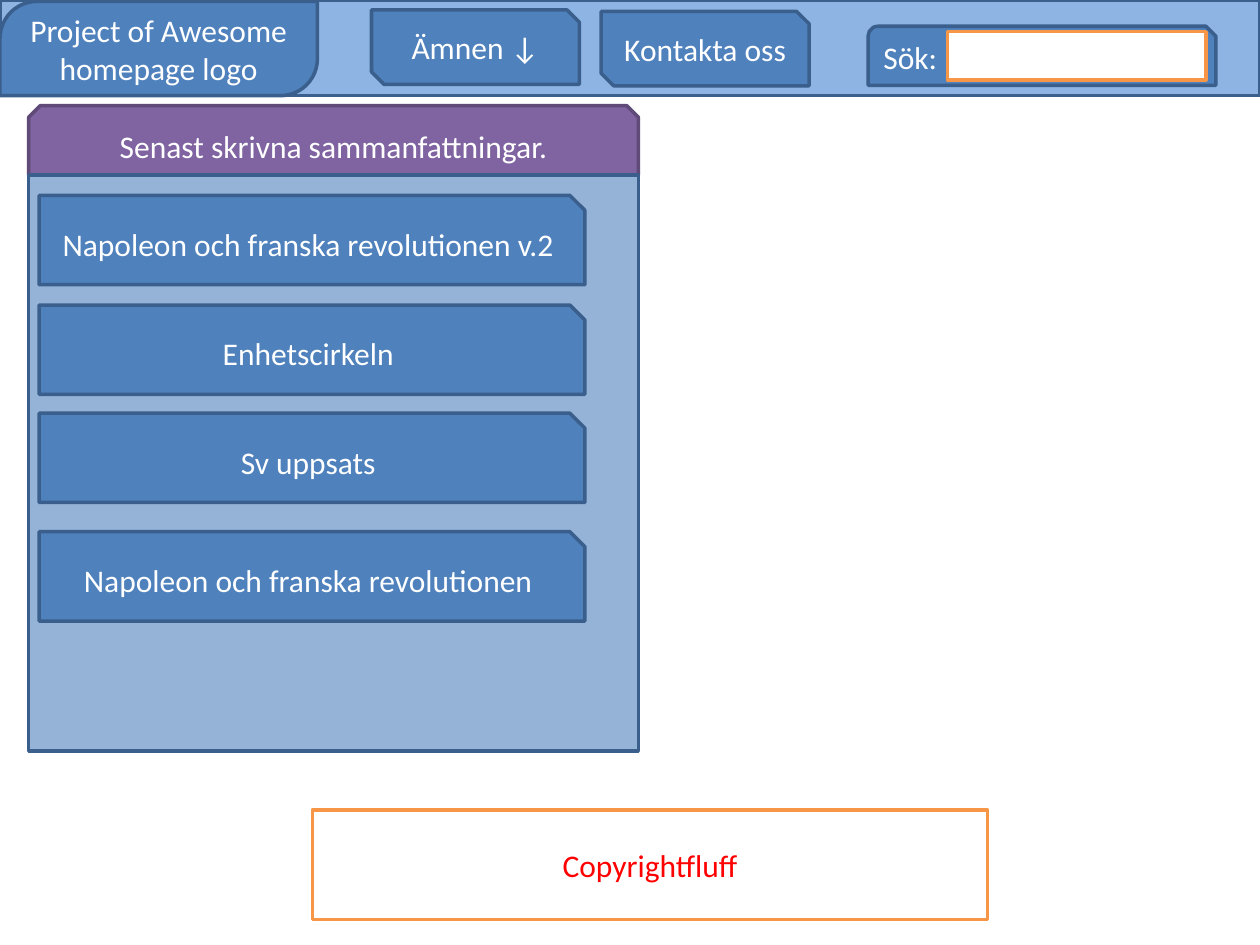
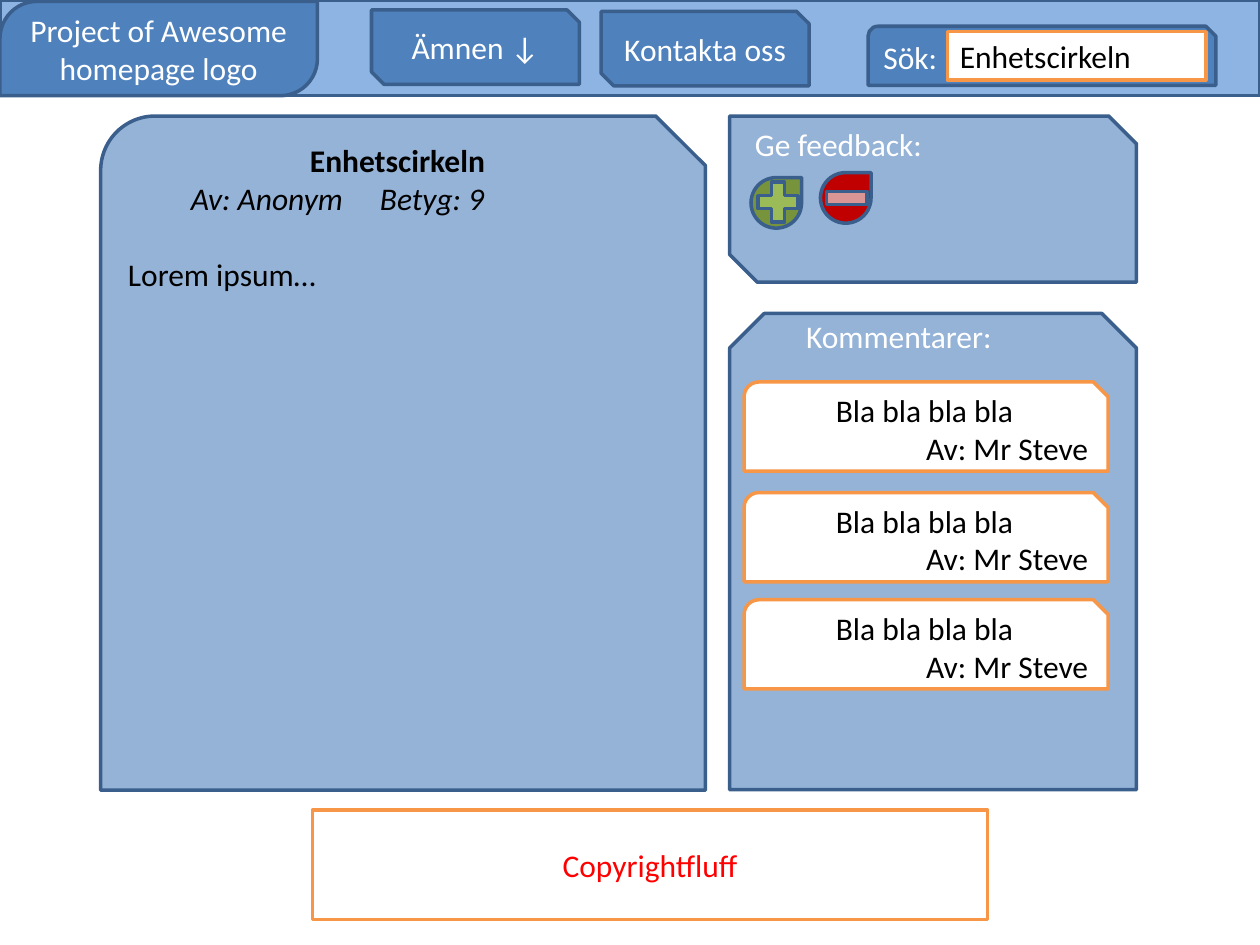
from dataclasses import dataclass

from lxml import etree
from pptx import Presentation
from pptx.dml.color import RGBColor
from pptx.enum import shapes, text
from pptx.oxml.ns import qn
from pptx.util import Cm, Pt


@dataclass(frozen=True)
class Theme:
    font: str = "Calibri"
    size: int = 18
    edge: float = 2
    band: str = "8EB4E3"
    blue: str = "4F81BD"
    navy: str = "3A5F8C"
    panel: str = "95B3D7"
    violet: str = "8064A2"
    plum: str = "5F4A78"
    orange: str = "F79646"
    olive: str = "77933C"
    lime: str = "9BBB59"
    wine: str = "C00000"
    rose: str = "D99694"
    red: str = "FF0000"
    white: str = "FFFFFF"
    black: str = "000000"


T = Theme()
G = shapes.MSO_SHAPE
LEFT, MID, RIGHT = text.PP_ALIGN.LEFT, text.PP_ALIGN.CENTER, text.PP_ALIGN.RIGHT
MIDDLE, TOP = text.MSO_ANCHOR.MIDDLE, text.MSO_ANCHOR.TOP


def put(frame, words, color=T.white, aligns=(MID,), bold=False, anchor=MIDDLE, inset=None):
    """Fill a frame, one paragraph a line; aligns holds one alignment for each line."""
    frame.word_wrap = True
    frame.auto_size = text.MSO_AUTO_SIZE.NONE
    frame.vertical_anchor = anchor
    if inset is not None:
        frame.margin_left = frame.margin_right = Cm(inset)
        frame.margin_top = frame.margin_bottom = Cm(inset)
    for i, (line, align) in enumerate(zip(words.split("\n"), aligns)):
        para = frame.add_paragraph() if i else frame.paragraphs[0]
        para.alignment = align
        run = para.add_run()
        run.text = line
        run.font.name, run.font.size, run.font.bold = T.font, Pt(T.size), bold
        run.font.color.rgb = RGBColor.from_string(color)


def box(kind, area, fill=T.blue, edge=T.navy, words="", adj=(), **look):
    """Add a preset shape; area is left, top, width and height in cm."""
    shape = slide.shapes.add_shape(kind, *map(Cm, area))
    shape.shadow.inherit = False
    shape.fill.solid()
    shape.fill.fore_color.rgb = RGBColor.from_string(fill)
    shape.line.color.rgb = RGBColor.from_string(edge)
    shape.line.width = Pt(T.edge)
    for i, value in enumerate(adj):
        shape.adjustments[i] = value
    if words:
        put(shape.text_frame, words, **look)


deck = Presentation()
deck.slide_width, deck.slide_height = Cm(25.4), Cm(19.05)
home = deck.slides.add_slide(deck.slide_layouts[5])
page = deck.slides.add_slide(deck.slide_layouts[1])

# Shared header and footer
for slide, query in ((home, ""), (page, "Enhetscirkeln")):
    box(G.RECTANGLE, (0, 0, 25.4, 1.93), T.band)
    box(G.ROUND_2_DIAG_RECTANGLE, (0, 0.03, 6.4, 1.9), adj=(0.392, 0),
        words="Project of Awesome homepage logo")
    for left, top, label in ((7.49, 0.2, "Ämnen ↓"), (12.12, 0.23, "Kontakta oss")):
        box(G.SNIP_2_DIAG_RECTANGLE, (left, top, 4.19, 1.5), words=label)
    box(G.SNIP_ROUND_RECTANGLE, (17.5, 0.53, 7.01, 1.19), words="Sök:", aligns=(LEFT,))
    box(G.RECTANGLE, (19.1, 0.64, 5.21, 0.97), T.white, T.orange, query,
        color=T.black, aligns=(LEFT,))
    box(G.RECTANGLE, (6.3, 16.33, 13.61, 2.21), T.white, T.orange, "Copyrightfluff",
        color=T.red)

# Start page: latest summaries
slide = home
box(G.SNIP_2_SAME_RECTANGLE, (0.58, 2.13, 12.29, 1.4), T.violet, T.plum)
box(G.RECTANGLE, (0.58, 3.53, 12.29, 11.61), T.panel)
for top, name in (
    (3.94, "Napoleon och franska revolutionen v.2"),
    (6.15, "Enhetscirkeln"),
    (8.33, "Sv uppsats"),
    (10.72, "Napoleon och franska revolutionen"),
):
    box(G.SNIP_1_RECTANGLE, (0.79, top, 11, 1.8), words=name)

# Summary page: article, feedback and comments
slide = page
box(G.SNIP_ROUND_RECTANGLE, (2.03, 2.34, 12.19, 13.59), T.panel, adj=(0.09, 0.082))
box(G.SNIP_2_DIAG_RECTANGLE, (14.71, 2.34, 8.2, 3.35), T.panel)
box(G.SNIP_2_SAME_RECTANGLE, (14.71, 6.32, 8.2, 9.6), T.panel, adj=(0.085, 0))
for left, top, label in ((15.22, 2.52, "Ge feedback:"), (16.25, 6.39, "Kommentarer:")):
    note = slide.shapes.add_textbox(Cm(left), Cm(top), Cm(5), Cm(0.77))
    put(note.text_frame, label, aligns=(LEFT,), anchor=TOP, inset=0)
for kind, left, top, side, fill in (
    (G.TEAR, 15.14, 3.58, 1.02, T.olive),
    (G.MATH_PLUS, 15.14, 3.53, 1.09, T.lime),
    (G.TEAR, 16.54, 3.48, 1.02, T.wine),
    (G.MATH_MINUS, 16.51, 3.43, 1.12, T.rose),
):
    box(kind, (left, top, side, side), fill)
for top in (7.7, 9.93, 12.09):
    box(G.SNIP_ROUND_RECTANGLE, (15, top, 7.34, 1.8), T.white, T.orange,
        "Bla bla bla bla\nAv: Mr Steve", color=T.black, aligns=(MID, RIGHT))

# Titles and article text lie on top of their panels
title, head, body = home.shapes.title, page.shapes.title, page.placeholders[1]
for holder, area in (
    (title, (0.58, 2.24, 12.29, 1.4)),
    (head, (2.58, 2.84, 10.87, 0.77)),
    (body, (2.58, 3.61, 10.87, 11.5)),
):
    holder.left, holder.top, holder.width, holder.height = map(Cm, area)
    holder.element.getparent().append(holder.element)
put(title.text_frame, "Senast skrivna sammanfattningar.")
put(head.text_frame, "Enhetscirkeln", color=T.black, bold=True, inset=0)
put(body.text_frame, "\tAv: Anonym\tBetyg: 9\nLorem ipsum…", color=T.black,
    aligns=(LEFT, LEFT), anchor=TOP, inset=0)

byline, lorem = body.text_frame.paragraphs
byline.runs[0].font.italic = True
for para, gap in ((byline, 0), (lorem, 22)):
    para.space_before = Pt(gap)
    props = para._p.get_or_add_pPr()
    props.set("marL", "0")
    props.set("indent", "0")
    etree.SubElement(props, qn("a:buNone"))
tabs = etree.SubElement(byline._p.pPr, qn("a:tabLst"))
for stop in (3.83, 8.2):
    etree.SubElement(tabs, qn("a:tab"), pos=str(Cm(stop)), algn="l")

deck.save("out.pptx")
